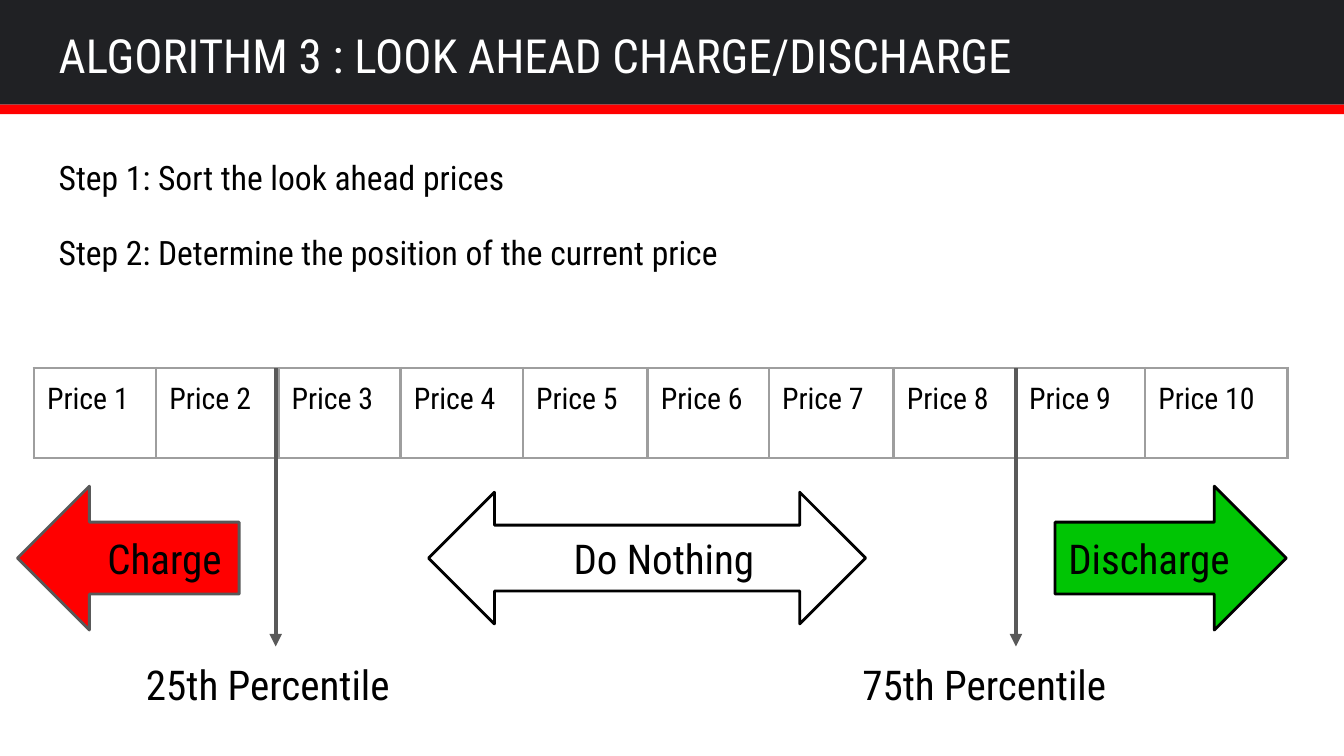
from lxml.etree import SubElement
from pptx import Presentation
from pptx.dml.color import RGBColor
from pptx.enum.shapes import MSO_CONNECTOR, MSO_SHAPE as Shape
from pptx.enum.text import MSO_ANCHOR as Anchor, PP_ALIGN as Align
from pptx.oxml.ns import qn
from pptx.util import Cm, Pt

FONT = "Roboto Condensed"
TITLE = "ALGORITHM 3 : LOOK AHEAD CHARGE/DISCHARGE"
WIDTH, HEIGHT, BAR = 25.4, 14.29, 1.98
PAD = 0.25

# text, left, top, width, height, size
LABELS = [
    ("Step 1: Sort the look ahead prices", 0.86, 2.72, 17.5, 1.27, 18),
    ("Step 2: Determine the position of the current price",
     0.86, 4.14, 17.5, 1.27, 18),
    ("Charge", 1.78, 9.83, 2.74, 1.45, 22),
    ("Discharge", 19.94, 9.83, 4.04, 1.45, 22),
    ("Do Nothing", 10.59, 9.83, 4.7, 1.45, 22),
    ("25th Percentile", 2.51, 12.22, 6, 1.45, 22),
    ("75th Percentile", 16.05, 12.22, 7.06, 1.45, 22),
]
# kind, left, width, height, fill, line
ARROWS = [
    (Shape.LEFT_ARROW, 0.33, 4.19, 2.72, "FF0000", "595959"),
    (Shape.RIGHT_ARROW, 19.94, 4.37, 2.72, "00C504", "000000"),
    (Shape.LEFT_RIGHT_ARROW, 8.1, 8.26, 2.49, "FFFFFF", "000000"),
]
ARROW_MID = 10.55
COLS = [2.31, 2.31, 2.31, 2.31, 2.36, 2.29, 2.36, 2.31, 2.44, 2.69]
TABLE_LEFT, TABLE_TOP, ROW = 0.64, 6.96, 1.7
MARKS, MARK_END = [5.21, 19.2], 12.22


def rgb(color):
    return RGBColor.from_string(color)


def box(*sizes):
    return [Cm(size) for size in sizes]


def write(frame, text, size, color="000000"):
    frame.text = text
    para = frame.paragraphs[0]
    para.alignment = Align.LEFT
    font = para.runs[0].font
    font.name, font.size = FONT, Pt(size)
    font.color.rgb = rgb(color)


def pad(item):
    """Set equal margins on a text frame or a table cell."""
    item.margin_left = item.margin_right = Cm(PAD)
    item.margin_top = item.margin_bottom = Cm(PAD)


def add_shape(kind, left, top, width, height, fill, line=None):
    shape = slide.shapes.add_shape(kind, *box(left, top, width, height))
    shape.shadow.inherit = False
    shape.fill.solid()
    shape.fill.fore_color.rgb = rgb(fill)
    if line:
        shape.line.color.rgb = rgb(line)
        shape.line.width = Pt(1.5)
    else:
        shape.line.fill.background()


def add_label(text, left, top, width, height, size):
    frame = slide.shapes.add_textbox(*box(left, top, width, height)).text_frame
    frame.word_wrap = True
    pad(frame)
    write(frame, text, size)


def add_border(cell, color):
    props = cell._tc.get_or_add_tcPr()
    for side in ("lnL", "lnR", "lnT", "lnB"):
        line = SubElement(props, qn(f"a:{side}"), w=str(Pt(1.5)))
        fill = SubElement(line, qn("a:solidFill"))
        SubElement(fill, qn("a:srgbClr"), val=color)


def add_prices():
    table = slide.shapes.add_table(
        1, len(COLS), *box(TABLE_LEFT, TABLE_TOP, sum(COLS), ROW)).table
    table.first_row = table.horz_banding = False
    for i, width in enumerate(COLS):
        table.columns[i].width = Cm(width)
        cell = table.cell(0, i)
        pad(cell)
        write(cell.text_frame, f"Price {i + 1}", 16)
        add_border(cell, "9E9E9E")
        cell.fill.background()


def add_mark(x):
    mark = slide.shapes.add_connector(
        MSO_CONNECTOR.STRAIGHT, *box(x, TABLE_TOP, x, MARK_END))
    mark.line.color.rgb = rgb("595959")
    mark.line.width = Pt(2.25)
    SubElement(mark.line._get_or_add_ln(), qn("a:tailEnd"), type="triangle")
    SubElement(mark._element.spPr, qn("a:effectLst"))


deck = Presentation()
deck.slide_width, deck.slide_height = box(WIDTH, HEIGHT)
slide = deck.slides.add_slide(deck.slide_layouts[5])
back = slide.background.fill
back.solid()
back.fore_color.rgb = rgb("202124")

title = slide.shapes.title
title.left, title.top, title.width, title.height = box(0.86, 0.23, 23.67, 1.6)
pad(title.text_frame)
title.text_frame.vertical_anchor = Anchor.MIDDLE
write(title.text_frame, TITLE, 25.2, "FFFFFF")

add_shape(Shape.RECTANGLE, 0, BAR, WIDTH, HEIGHT - BAR, "FFFFFF")
add_shape(Shape.RECTANGLE, 0, BAR, WIDTH, 0.18, "FF0000")
add_prices()
for kind, left, width, height, fill, line in ARROWS:
    add_shape(kind, left, ARROW_MID - height / 2, width, height, fill, line)
for label in LABELS:
    add_label(*label)
for x in MARKS:
    add_mark(x)

deck.save("out.pptx")
